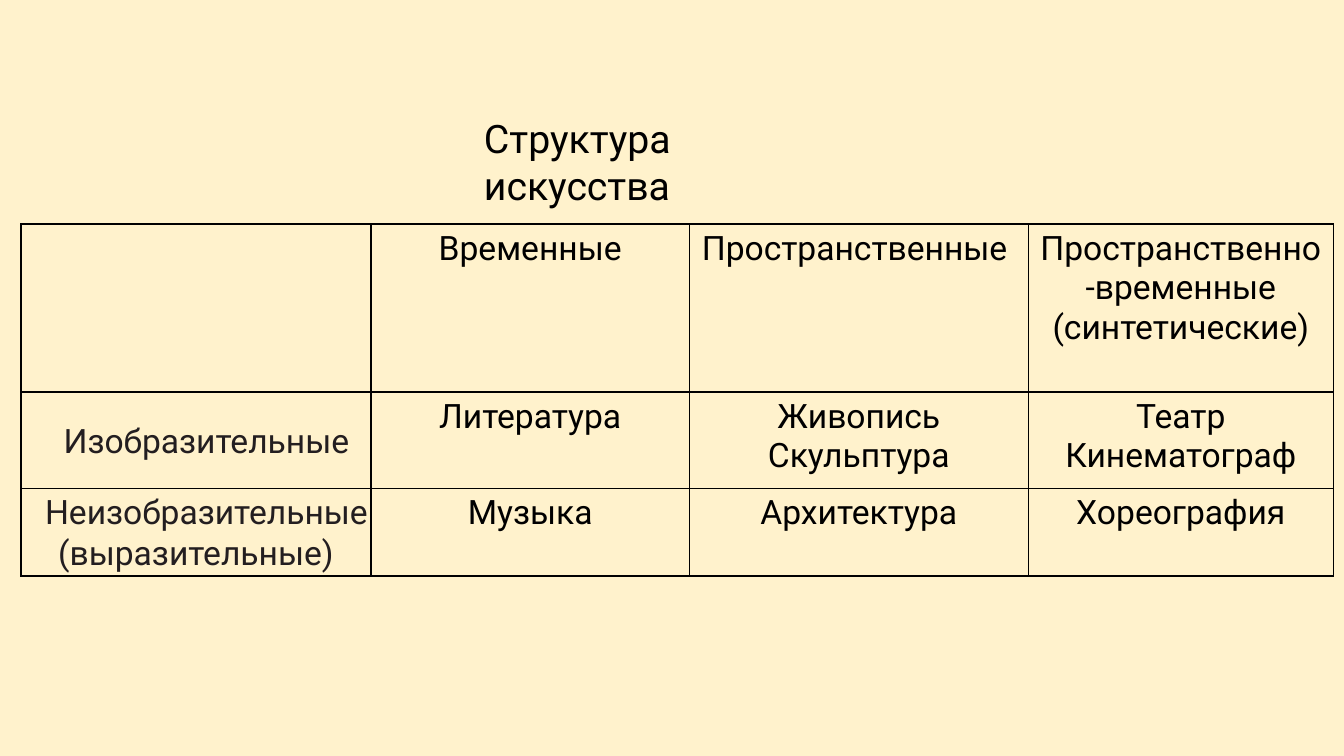
"""Build a slide with a table of the structure of the arts."""
from dataclasses import dataclass

from lxml import etree
from pptx import Presentation
from pptx.dml.color import RGBColor
from pptx.enum import text
from pptx.oxml import ns
from pptx.util import Pt

TITLE = "Структура искусства"
ROWS = [
    ["", "Временные", "Пространственные ", "Пространственно-временные (синтетические)"],
    ["Изобразительные", "Литература", "Живопись\nСкульптура", "Театр Кинематограф"],
    ["Неизобразительные (выразительные)", "Музыка", "Архитектура", "Хореография"],
]
COLUMN_WIDTHS = [250, 227.5, 242, 218]
ROW_HEIGHTS = [120, 69, 62.5]
ROW_LABEL_SPACING = [1, 1.07, 1.05]
TABLE_LEFT, TABLE_TOP = 15, 160
TITLE_BOX = [338.5, 78, 240, 80]


@dataclass(frozen=True)
class Theme:
    """Colours, font and sizes of the slide."""
    background: str = "FFF2CC"
    ink: str = "000000"
    label: str = "231E20"
    font: str = "Roboto"
    title_size: int = 28
    cell_size: int = 24
    border: int = 1


THEME = Theme()


def format_text(frame, size, color, alignment):
    """Apply one font, size, colour and alignment to a text frame."""
    for paragraph in frame.paragraphs:
        paragraph.alignment = alignment
        for font in [paragraph.font] + [run.font for run in paragraph.runs]:
            font.name = THEME.font
            font.size = Pt(size)
            font.bold = False
            font.color.rgb = RGBColor.from_string(color)


def add_borders(cell):
    """Draw a solid line on all four sides of a cell."""
    properties = cell._tc.get_or_add_tcPr()
    for position, side in enumerate(("lnL", "lnR", "lnT", "lnB")):
        line = etree.Element(ns.qn(f"a:{side}"), w=str(int(Pt(THEME.border))))
        fill = etree.SubElement(line, ns.qn("a:solidFill"))
        etree.SubElement(fill, ns.qn("a:srgbClr"), val=THEME.ink)
        properties.insert(position, line)


def format_row_label(cell, spacing):
    """Centre a row label vertically with a first-line indent."""
    cell.vertical_anchor = text.MSO_ANCHOR.MIDDLE
    cell.margin_left = cell.margin_right = Pt(0.5)
    cell.margin_top = cell.margin_bottom = 0
    for paragraph in cell.text_frame.paragraphs:
        paragraph.line_spacing = spacing
        properties = paragraph._p.get_or_add_pPr()
        properties.set("marL", "0")
        properties.set("indent", str(int(Pt(15))))


def add_title(slide):
    """Place and format the title."""
    title = slide.shapes.title
    title.left, title.top, title.width, title.height = map(Pt, TITLE_BOX)
    frame = title.text_frame
    frame.text = TITLE
    frame.word_wrap = True
    frame.auto_size = text.MSO_AUTO_SIZE.NONE
    frame.vertical_anchor = text.MSO_ANCHOR.TOP
    format_text(frame, THEME.title_size, THEME.ink, text.PP_ALIGN.LEFT)


def add_arts_table(slide):
    """Add the bordered table of art forms."""
    table = slide.shapes.add_table(
        len(ROWS), len(COLUMN_WIDTHS), Pt(TABLE_LEFT), Pt(TABLE_TOP),
        Pt(sum(COLUMN_WIDTHS)), Pt(sum(ROW_HEIGHTS))).table
    table.first_row = table.horz_banding = False
    for column, width in zip(table.columns, COLUMN_WIDTHS):
        column.width = Pt(width)
    for row_index, labels in enumerate(ROWS):
        table.rows[row_index].height = Pt(ROW_HEIGHTS[row_index])
        for column_index, label in enumerate(labels):
            cell = table.cell(row_index, column_index)
            cell.text_frame.text = label
            cell.fill.background()
            is_row_label = row_index > 0 and column_index == 0
            color = THEME.label if is_row_label else THEME.ink
            format_text(cell.text_frame, THEME.cell_size, color, text.PP_ALIGN.CENTER)
            if is_row_label:
                format_row_label(cell, ROW_LABEL_SPACING[row_index])
            add_borders(cell)


def main():
    """Create and save the presentation."""
    presentation = Presentation()
    presentation.slide_width, presentation.slide_height = Pt(960), Pt(540)
    slide = presentation.slides.add_slide(presentation.slide_layouts[5])
    background = slide.background.fill
    background.solid()
    background.fore_color.rgb = RGBColor.from_string(THEME.background)
    add_arts_table(slide)
    add_title(slide)
    presentation.save("out.pptx")


if __name__ == "__main__":
    main()
